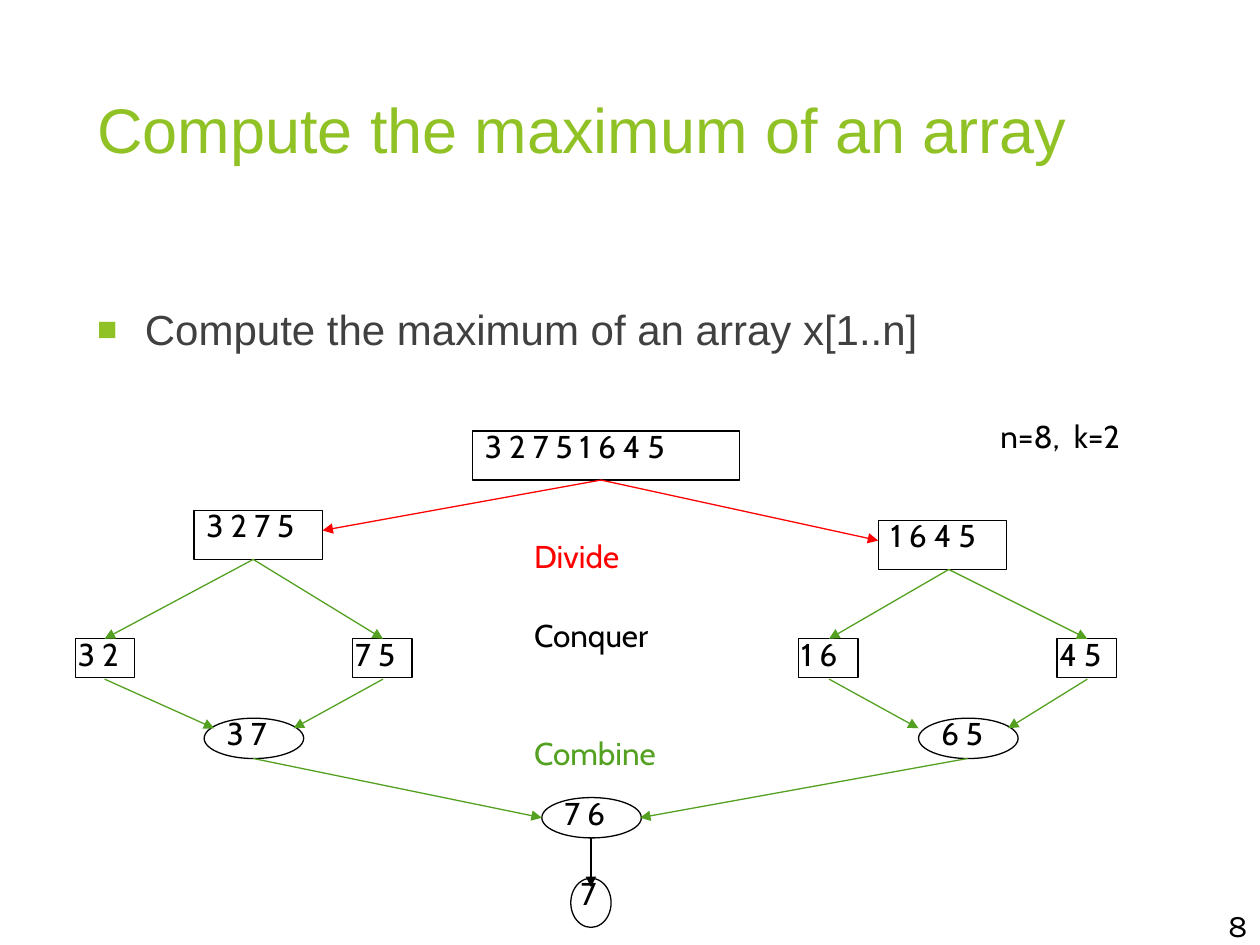
from lxml.etree import SubElement
from pptx import Presentation
from pptx.dml.color import RGBColor
from pptx.enum.shapes import MSO_CONNECTOR as Connector, MSO_SHAPE as Shape
from pptx.enum.text import MSO_ANCHOR as Anchor, MSO_AUTO_SIZE as AutoSize, PP_ALIGN as Align
from pptx.oxml.ns import qn
from pptx.util import Emu, Pt

PX = 9144
BLACK, WHITE, RED, GREEN, LIME, GRAY = "000000", "FFFFFF", "FF0000", "54A021", "90C226", "404040"

TITLE = "Compute the maximum of an array"
BULLET = "Compute the maximum of an array x[1..n]"
PAGE_NUMBER = "8"

LABEL_RISE, LABEL_HEIGHT = 8, 50
NODE_KINDS = {
    "array": (Shape.RECTANGLE, 102, 39, 0, 112),
    "pair": (Shape.RECTANGLE, 47, 31, -8, 62),
    "result": (Shape.OVAL, 79, 32, 8, 62),
    "whole": (Shape.RECTANGLE, 212, 39, 0, 212),
    "maximum": (Shape.OVAL, 32, 39, -2, 37),
}
NODES = [
    ("3 2 7 5 1 6 4 5", "whole", 375, 342),
    ("3 2 7 5", "array", 154, 405),
    ("1 6 4 5", "array", 697, 413),
    ("3 2", "pair", 60, 507),
    ("7 5", "pair", 280, 507),
    ("1 6", "pair", 634, 507),
    ("4 5", "pair", 839, 507),
    ("3 7", "result", 162, 570),
    ("6 5", "result", 729, 570),
    ("7 6", "result", 430, 633),
    ("7", "maximum", 453, 697),
]
NOTES = [
    ("n=8,  k=2", 784, 326, 149, BLACK),
    ("Divide", 414, 421, 111, RED),
    ("Conquer", 414, 484, 135, BLACK),
    ("Combine", 414, 578, 142, GREEN),
]
ARROWS = {
    RED: [((477, 381), (256, 421)), ((477, 381), (697, 429))],
    GREEN: [
        ((201, 444), (83, 507)), ((201, 444), (304, 507)),
        ((83, 539), (170, 578)), ((304, 539), (233, 578)),
        ((201, 602), (430, 649)),
        ((753, 452), (658, 507)), ((753, 452), (863, 507)),
        ((658, 539), (729, 578)), ((863, 539), (800, 578)),
        ((768, 602), (508, 649)),
    ],
    BLACK: [((469, 665), (469, 704))],
}


def px(*lengths):
    """Turn px lengths into EMU."""
    return [Emu(length * PX) for length in lengths]


def color(hex_string):
    """Turn a hex string into a colour."""
    return RGBColor.from_string(hex_string)


def write(shape, text, font="Cabin", size=18, fill=BLACK, anchor=Anchor.TOP,
          align=Align.LEFT, wrap=True, fit=AutoSize.NONE):
    """Put one formatted paragraph in a shape and return the paragraph."""
    frame = shape.text_frame
    frame.word_wrap, frame.auto_size, frame.vertical_anchor = wrap, fit, anchor
    paragraph = frame.paragraphs[0]
    paragraph.alignment = align
    run = paragraph.add_run()
    run.text = text
    run.font.name, run.font.size = font, Pt(size)
    run.font.color.rgb = color(fill)
    return paragraph


def place(shape, left, top, width, height):
    """Move and size a placeholder."""
    shape.left, shape.top, shape.width, shape.height = px(left, top, width, height)
    return shape


def add_bullet(paragraph, symbol, fill, percent, indent):
    """Give a paragraph a coloured bullet and a hanging indent."""
    properties = paragraph._p.get_or_add_pPr()
    properties.set("marL", str(indent * PX))
    properties.set("indent", str(-indent * PX))
    bullet_color = SubElement(properties, qn("a:buClr"))
    SubElement(bullet_color, qn("a:srgbClr"), val=fill)
    SubElement(properties, qn("a:buSzPct"), val=str(percent * 1000))
    SubElement(properties, qn("a:buFont"), typeface="Arial")
    SubElement(properties, qn("a:buChar"), char=symbol)


def add_label(slide, text, left, top, width, fill=BLACK):
    """Add a free text label that stays on one line."""
    box = slide.shapes.add_textbox(*px(left, top, width, LABEL_HEIGHT))
    write(box, text, fill=fill, wrap=False, fit=AutoSize.SHAPE_TO_FIT_TEXT)


def add_node(slide, text, kind, left, top):
    """Add an outlined tree node with its label."""
    preset, width, height, shift, label_width = NODE_KINDS[kind]
    shape = slide.shapes.add_shape(preset, *px(left, top, width, height))
    shape.shadow.inherit = False
    shape.fill.background()
    shape.line.color.rgb, shape.line.width = color(BLACK), Pt(0.75)
    add_label(slide, text, left + shift, top - LABEL_RISE, label_width)


def add_arrow(slide, start, end, fill):
    """Add a straight arrow from start to end."""
    arrow = slide.shapes.add_connector(Connector.STRAIGHT, *px(*start, *end))
    arrow.line.color.rgb, arrow.line.width = color(fill), Pt(0.75)
    SubElement(arrow.line._get_or_add_ln(), qn("a:tailEnd"), type="triangle")
    SubElement(arrow._element.spPr, qn("a:effectLst"))


def add_footer(slide):
    """Add the page number strip."""
    strip = slide.shapes.add_shape(Shape.RECTANGLE, *px(0, 718, 1000, 32))
    strip.shadow.inherit = False
    strip.fill.solid()
    strip.fill.fore_color.rgb = color(WHITE)
    strip.line.fill.background()
    write(strip, PAGE_NUMBER, font="Karla", anchor=Anchor.MIDDLE, align=Align.RIGHT)


def main():
    """Build and save the slide."""
    presentation = Presentation()
    presentation.slide_width, presentation.slide_height = px(1000, 750)
    slide = presentation.slides.add_slide(presentation.slide_layouts[1])
    add_footer(slide)
    title = place(slide.shapes.title, 67, 67, 890, 80)
    write(title, TITLE, font="Arial", size=36, fill=LIME)
    body = place(slide.placeholders[1], 67, 236, 890, 424)
    paragraph = write(body, BULLET, font="Arial", size=24, fill=GRAY)
    paragraph.space_before = Pt(10)
    add_bullet(paragraph, "■", LIME, 80, 38)
    for node in NODES:
        add_node(slide, *node)
    for note in NOTES:
        add_label(slide, *note)
    for fill, arrows in ARROWS.items():
        for start, end in arrows:
            add_arrow(slide, start, end, fill)
    presentation.save("out.pptx")


if __name__ == "__main__":
    main()
